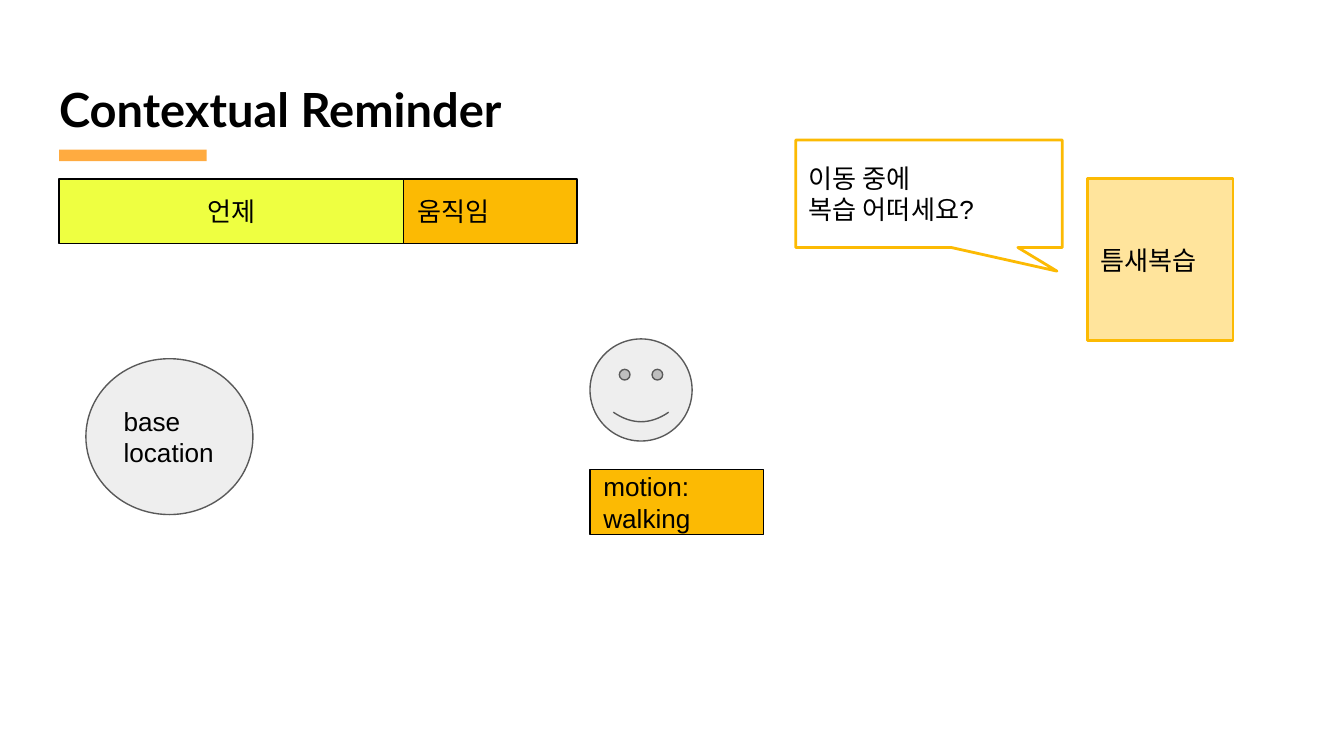
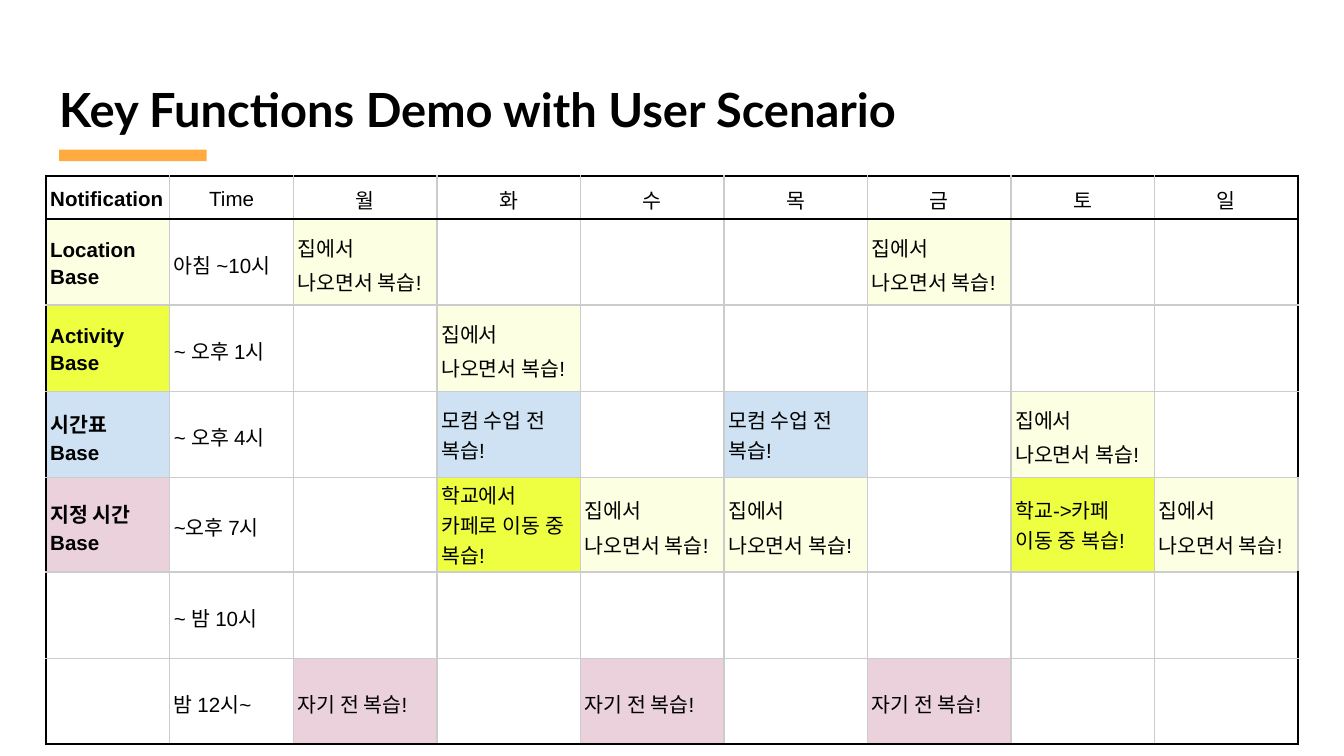
from pptx import Presentation
from pptx.dml.color import RGBColor
from pptx.enum.shapes import MSO_SHAPE
from pptx.enum.text import MSO_ANCHOR, PP_ALIGN
from pptx.oxml.ns import qn
from pptx.util import Pt
from lxml import etree

RECT, OVAL = MSO_SHAPE.RECTANGLE, MSO_SHAPE.OVAL
SMILE, CALL = MSO_SHAPE.SMILEY_FACE, MSO_SHAPE.RECTANGULAR_CALLOUT
LEFT, MID = PP_ALIGN.LEFT, PP_ALIGN.CENTER
CENTRE = MSO_ANCHOR.MIDDLE

INK = {
    "black": "000000", "white": "FFFFFF", "bar": "FFAB40",
    "pale": "EEEEEE", "grey": "595959", "grid": "CCCCCC",
    "lime": "EEFF41", "amber": "FCBA03", "sand": "FFDF87",
    "cream": "FCFFD9", "blue": "CFE2F3", "pink": "EAD1DC",
}
ALPHA = {"sand": 82, "cream": 79}
EDGE = 31.7     # left edge of the content
PAD = 7.2       # inner margin of shapes


class Deck:
    def __init__(self):
        self.prs = Presentation()
        self.prs.slide_width, self.prs.slide_height = Pt(720), Pt(405)
        self.slide = None

    def paint(self, fill, name):
        """Fill with a named colour, or with nothing."""
        if name is None:
            fill.background()
            return
        fill.solid()
        fill.fore_color.rgb = RGBColor.from_string(INK[name])
        if name in ALPHA:
            clr = fill._xPr.find(qn("a:solidFill"))[0]
            etree.SubElement(clr, qn("a:alpha"), val=str(ALPHA[name] * 1000))

    def label(self, frame, text, size, face="Arial", bold=False,
              align=LEFT, space=None):
        frame.word_wrap = True
        frame.text = text
        for par in frame.paragraphs:
            par.alignment = align
            par.line_spacing = space
            font = par.font
            font.name, font.size, font.bold = face, Pt(size), bold
            font.color.rgb = RGBColor.from_string(INK["black"])

    def page(self, title):
        """Start a slide with its title and accent bar."""
        self.slide = self.prs.slides.add_slide(self.prs.slide_layouts[5])
        head = self.slide.shapes.title
        head.left, head.top = Pt(24.5), Pt(35.3)
        head.width, head.height = Pt(671), Pt(45.4)
        frame = head.text_frame
        self.inset(frame)
        self.label(frame, title, 25.2, "Lato", True)
        self.shape(RECT, EDGE, 80.2, 79, 6.2, "bar")

    def inset(self, frame):
        frame.margin_left = frame.margin_right = Pt(PAD)
        frame.margin_top = frame.margin_bottom = Pt(PAD)
        frame.vertical_anchor = CENTRE

    def shape(self, kind, x, y, w, h, fill, line=None, wide=0.75,
              text="", align=LEFT):
        item = self.slide.shapes.add_shape(kind, Pt(x), Pt(y), Pt(w), Pt(h))
        item.shadow.inherit = False
        self.paint(item.fill, fill)
        self.paint(item.line.fill, line)
        if line:
            item.line.width = Pt(wide)
        if text:
            self.inset(item.text_frame)
            self.label(item.text_frame, text, 14, align=align)
        return item

    def table(self, x, y, cols, rows):
        frame = self.slide.shapes.add_table(
            len(rows), len(cols), Pt(x), Pt(y), Pt(sum(cols)), Pt(sum(rows)))
        grid = frame.table
        grid.first_row = grid.horz_banding = False
        for col, wide in zip(grid.columns, cols):
            col.width = Pt(wide)
        for row, high in zip(grid.rows, rows):
            row.height = Pt(high)
        return grid

    def cell(self, cell, text, fill, dark, **style):
        """Fill one cell; dark holds the sides with a black border."""
        cell.margin_left = cell.margin_right = Pt(2.2)
        cell.margin_top = cell.margin_bottom = Pt(1.5)
        cell.vertical_anchor = CENTRE
        self.label(cell.text_frame, text, 11, **style)
        props = cell._tc.get_or_add_tcPr()
        for side in "LRTB":
            name, wide = ("black", 1.5) if side in dark else ("grid", 0.83)
            line = etree.SubElement(props, qn("a:ln" + side), w=str(Pt(wide)))
            solid = etree.SubElement(line, qn("a:solidFill"))
            etree.SubElement(solid, qn("a:srgbClr"), val=INK[name])
        self.paint(cell.fill, fill)


def remind(deck):
    deck.page("Contextual Reminder")
    # Place and condition
    deck.shape(OVAL, 46, 192.2, 89.5, 83.5, "pale", "grey",
               text="base location")
    deck.shape(RECT, EDGE, 95.8, 184.6, 34.6, "lime", "black",
               text="언제", align=MID)
    deck.shape(RECT, 216.3, 95.8, 92.9, 34.6, "amber", "black", text="움직임")
    # User and motion
    deck.shape(SMILE, 316.1, 181.6, 54.7, 54.7, "pale", "grey")
    deck.shape(RECT, 316.1, 251.6, 92.9, 34.6, "amber", "black",
               text="motion: walking")
    # Reminder and its message
    deck.shape(RECT, 582.6, 95.7, 78, 86.7, "sand", "amber", 1.5, "틈새복습")
    note = deck.shape(CALL, 426.3, 75, 142.8, 57.6, None, "amber", 1.5,
                      "이동 중에\n복습 어떠세요?")
    note.adjustments[0], note.adjustments[1] = 0.48, 0.72


HEAD = ["Notification", "Time", *"월화수목금토일"]
BASES = [("Location\nBase", "cream"), ("Activity\nBase", "lime"),
         ("시간표\nBase", "blue"), ("지정 시간\nBase", "pink"),
         ("", None), ("", None)]
TIMES = ["아침 ~10시", "~ 오후 1시", "~ 오후 4시", "~오후 7시",
         "~ 밤 10시", "밤 12시~"]
# Reminder: text, fill, line spacing
HOME = ("집에서 나오면서 복습!", "cream", 1.15)
CLASS = ("모컴 수업 전 복습!", "blue", 1)
CAFE = ("학교에서 카페로 이동 중 복습!", "lime", 1)
MOVE = ("학교->카페\n이동 중 복습!", "lime", 1)
BED = ("자기 전 복습!", "pink", 1.15)
NONE = ("", None, 1.15)
# Reminders of each time, by column
PLAN = [{2: HOME, 6: HOME}, {3: HOME}, {3: CLASS, 5: CLASS, 7: HOME},
        {3: CAFE, 4: HOME, 5: HOME, 7: MOVE, 8: HOME}, {},
        {2: BED, 4: BED, 6: BED}]


def sides(r, c, last, end):
    """Sides of a cell that lie on the frame or under the header."""
    dark = "L" if c == 0 else ""
    if c == end and (r == 0 or c not in PLAN[r - 1]):
        dark += "R"
    if r < 2:
        dark += "T"
    if r in (0, last):
        dark += "B"
    return dark


def week(deck):
    deck.page("Key Functions Demo with User Scenario")
    cols, rows = [66.3] * 2 + [76.9] * 7, [23] + [46.1] * 6
    grid = deck.table(24.7, 94.4, cols, rows)
    last, end = len(rows) - 1, len(cols) - 1
    # Header
    for c, text in enumerate(HEAD):
        deck.cell(grid.cell(0, c), text, "white" if c > 2 else None,
                  sides(0, c, last, end), bold=c == 0,
                  align=MID if c else LEFT, space=1.15)
    # Base, time and the seven days
    for r, (base, time, plan) in enumerate(zip(BASES, TIMES, PLAN), 1):
        days = [plan.get(c, NONE) for c in range(2, end + 1)]
        line = [(*base, 1.15), (time, None, 1.15), *days]
        for c, (text, fill, space) in enumerate(line):
            deck.cell(grid.cell(r, c), text, fill, sides(r, c, last, end),
                      bold=c == 0, space=space)


def main():
    deck = Deck()
    remind(deck)
    week(deck)
    deck.prs.save("out.pptx")


if __name__ == "__main__":
    main()
